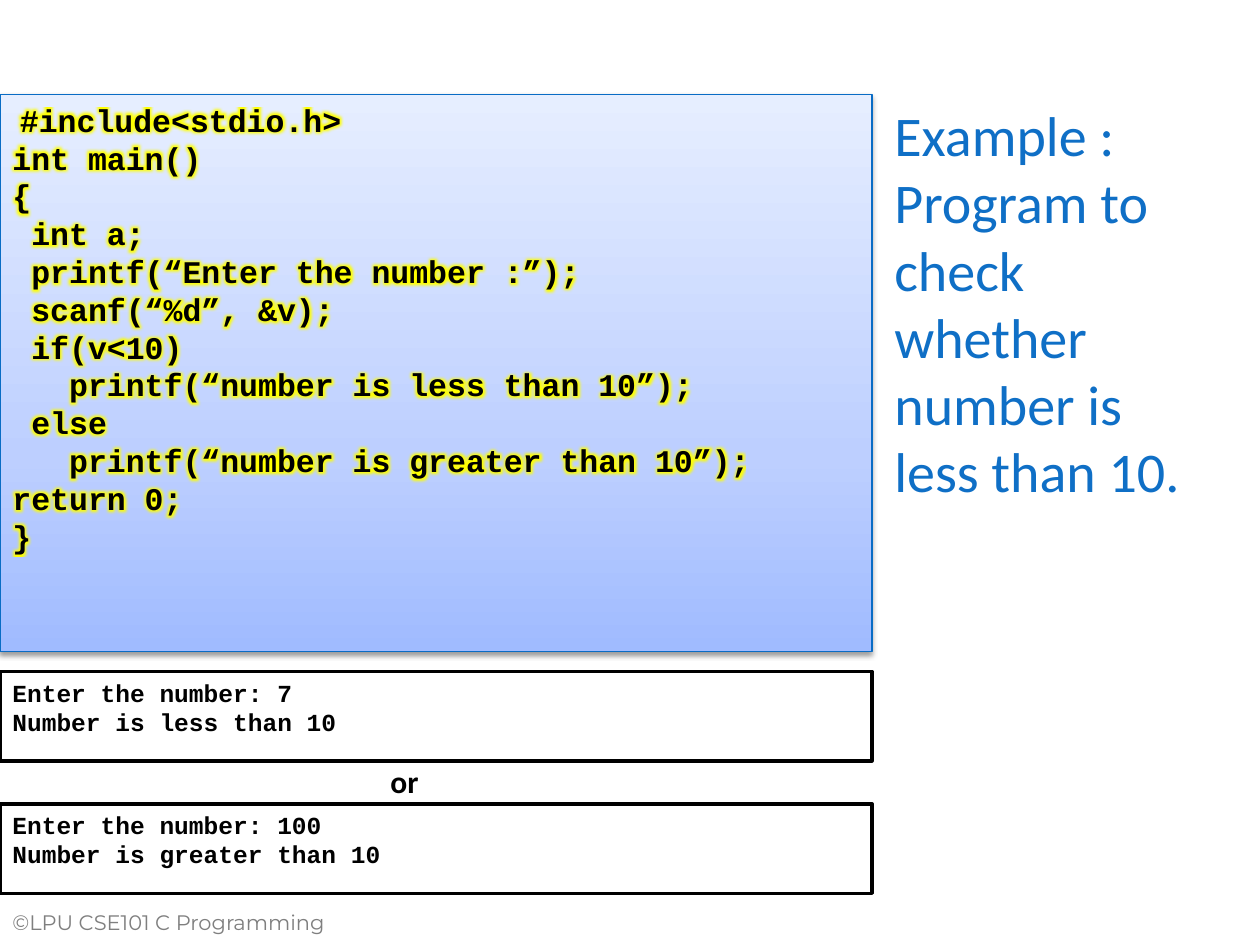
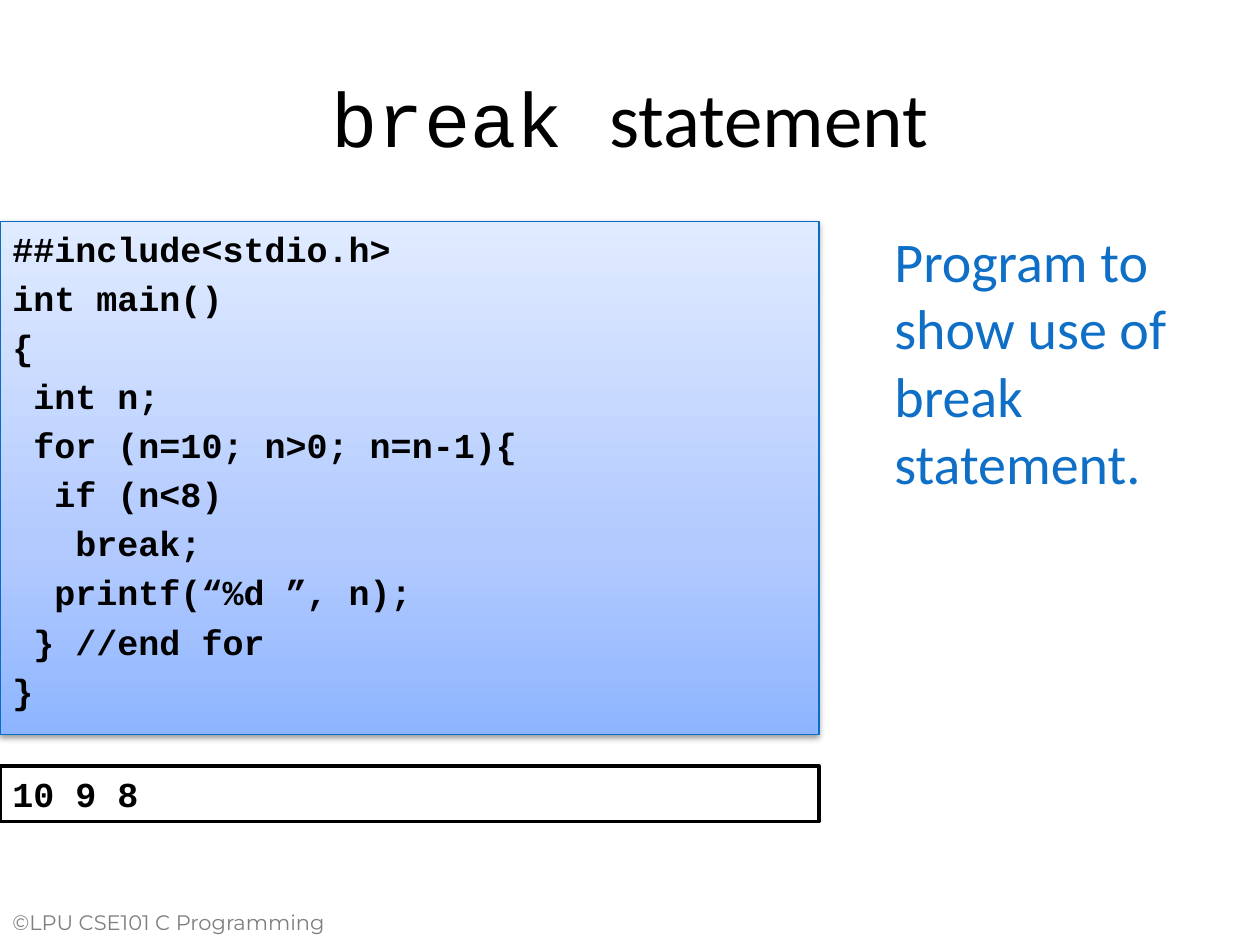
from pptx import Presentation
from pptx.dml.color import RGBColor
from pptx.enum.shapes import MSO_SHAPE
from pptx.enum.text import MSO_ANCHOR, PP_ALIGN
from pptx.oxml import parse_xml
from pptx.oxml.ns import nsdecls
from pptx.util import Inches, Pt

HUE = {"ink": "000000", "paper": "FFFFFF", "blue": "0F6FC6",
       "edge": "096CC5", "grey": "7F7F7F", "glow": "FFFF00"}
CODE, SANS, FOOT = "Courier New", "Calibri", "Montserrat"
NOTE = "©LPU CSE101 C Programming"

TEST = [
    "#include<stdio.h>",
    "int main()",
    "{",
    " int a;",
    " printf(“Enter the number :”);",
    " scanf(“%d”, &v);",
    " if(v<10)",
    "   printf(“number is less than 10”);",
    " else",
    "   printf(“number is greater than 10”);",
    "return 0;",
    "}",
]
LOOP = [
    "##include<stdio.h>",
    "int main()",
    "{",
    " int n;",
    " for (n=10; n>0; n=n-1){",
    "  if (n<8)",
    "   break;",
    "  printf(“%d ”, n);",
    " } //end for",
    "}",
]
RUNS = [
    (5.33, ["Enter the number: 7", "Number is less than 10"]),
    (6.38, ["Enter the number: 100", "Number is greater than 10"]),
]

PAGES = [
    {"aim": "Example : Program to check whether number is less than 10.",
     "aim_at": (7, 0.75, 2.53, 5.83),
     "code": TEST, "code_at": (0, 0.75, 6.92, 4.42), "size": 18, "gap": 0,
     "fade": [(0, "A0BBFF"), (35, "BDCFFF"), (100, "E6EEFF")],
     "glow": True, "inset": 0.06,
     "runs": RUNS, "high": 0.71, "run_size": 14,
     "mid": ("or", (3, 6, 1, 0.4))},
    {"head": [("break ", CODE), ("statement", SANS)],
     "aim": "Program to show use of break statement.",
     "aim_at": (7, 1.75, 2.5, 5.08),
     "code": LOOP, "code_at": (0, 1.76, 6.5, 4.07), "size": 20, "gap": 4,
     "fade": [(0, "8EB5FF"), (35, "B1C9FF"), (100, "E0EBFF")],
     "runs": [(6.08, ["10 9 8"])], "high": 0.44, "run_size": 20},
]


def tint(name):
    return RGBColor.from_string(HUE[name])


def shine(run):
    glow = parse_xml(
        f'<a:effectLst {nsdecls("a")}><a:glow rad="63500">'
        f'<a:srgbClr val="{HUE["glow"]}"/></a:glow></a:effectLst>')
    run.font.fill._xPr.solidFill.addnext(glow)


def write(shape, text, font=SANS, size=18, hue="ink", bold=False, gap=0,
          align=PP_ALIGN.LEFT, anchor=MSO_ANCHOR.TOP, glow=False, inset=0):
    frame = shape.text_frame
    frame.word_wrap = True
    frame.vertical_anchor = anchor
    lines = [text] if isinstance(text, str) else text
    for i, line in enumerate(lines):
        para = frame.add_paragraph() if i else frame.paragraphs[0]
        para.alignment = align
        if i:
            para.space_before = Pt(gap)
        elif inset:
            para._p.get_or_add_pPr().set("marL", str(Inches(inset)))
        parts = [(line, font)] if isinstance(line, str) else line
        for words, face in parts:
            run = para.add_run()
            run.text = words
            run.font.name = face
            run.font.size = Pt(size)
            run.font.bold = bold
            run.font.color.rgb = tint(hue)
            if glow:
                shine(run)


def label(slide, text, at, **form):
    box = slide.shapes.add_textbox(*map(Inches, at))
    write(box, text, **form)


def panel(slide, text, at, line, width, **form):
    box = slide.shapes.add_shape(MSO_SHAPE.RECTANGLE, *map(Inches, at))
    box.shadow.inherit = False
    box.fill.solid()
    box.fill.fore_color.rgb = tint("paper")
    box.line.color.rgb = tint(line)
    box.line.width = Pt(width)
    write(box, text, font=CODE, bold=True, **form)
    return box


def shade(box, fade):
    stops = "".join(f'<a:gs pos="{pos * 1000}"><a:srgbClr val="{hue}"/></a:gs>'
                    for pos, hue in fade)
    props = box._element.spPr
    fill = parse_xml(
        f'<a:gradFill {nsdecls("a")} rotWithShape="1"><a:gsLst>{stops}</a:gsLst>'
        '<a:lin ang="16200000" scaled="0"/></a:gradFill>')
    props.replace(props.solidFill, fill)
    cast = parse_xml(
        f'<a:effectLst {nsdecls("a")}><a:outerShdw blurRad="{Pt(3.1)}" '
        f'dist="{Pt(1.6)}" dir="5400000" rotWithShape="0">'
        f'<a:srgbClr val="{HUE["ink"]}"><a:alpha val="38000"/></a:srgbClr>'
        '</a:outerShdw></a:effectLst>')
    props.replace(props.effectLst, cast)


def build(deck, page):
    slide = deck.slides.add_slide(deck.slide_layouts[6])
    label(slide, NOTE, (0, 7.17, 3, 0.42), font=FOOT, size=12, hue="grey")
    if "head" in page:
        label(slide, [page["head"]], (0.5, 0.3, 9, 1.25), size=44,
              align=PP_ALIGN.CENTER, anchor=MSO_ANCHOR.MIDDLE)
    label(slide, page["aim"], page["aim_at"], size=32, hue="blue")
    box = panel(slide, page["code"], page["code_at"], "edge", 0.75,
                size=page["size"], gap=page["gap"],
                glow=page.get("glow", False), inset=page.get("inset", 0))
    shade(box, page["fade"])
    left, _, wide, _ = page["code_at"]
    for top, lines in page["runs"]:
        panel(slide, lines, (left, top, wide, page["high"]), "ink", 2,
              size=page["run_size"])
    if "mid" in page:
        label(slide, *page["mid"], bold=True)


def main():
    deck = Presentation()
    deck.slide_width, deck.slide_height = Inches(10), Inches(7.5)
    for page in PAGES:
        build(deck, page)
    deck.save("out.pptx")


if __name__ == "__main__":
    main()
